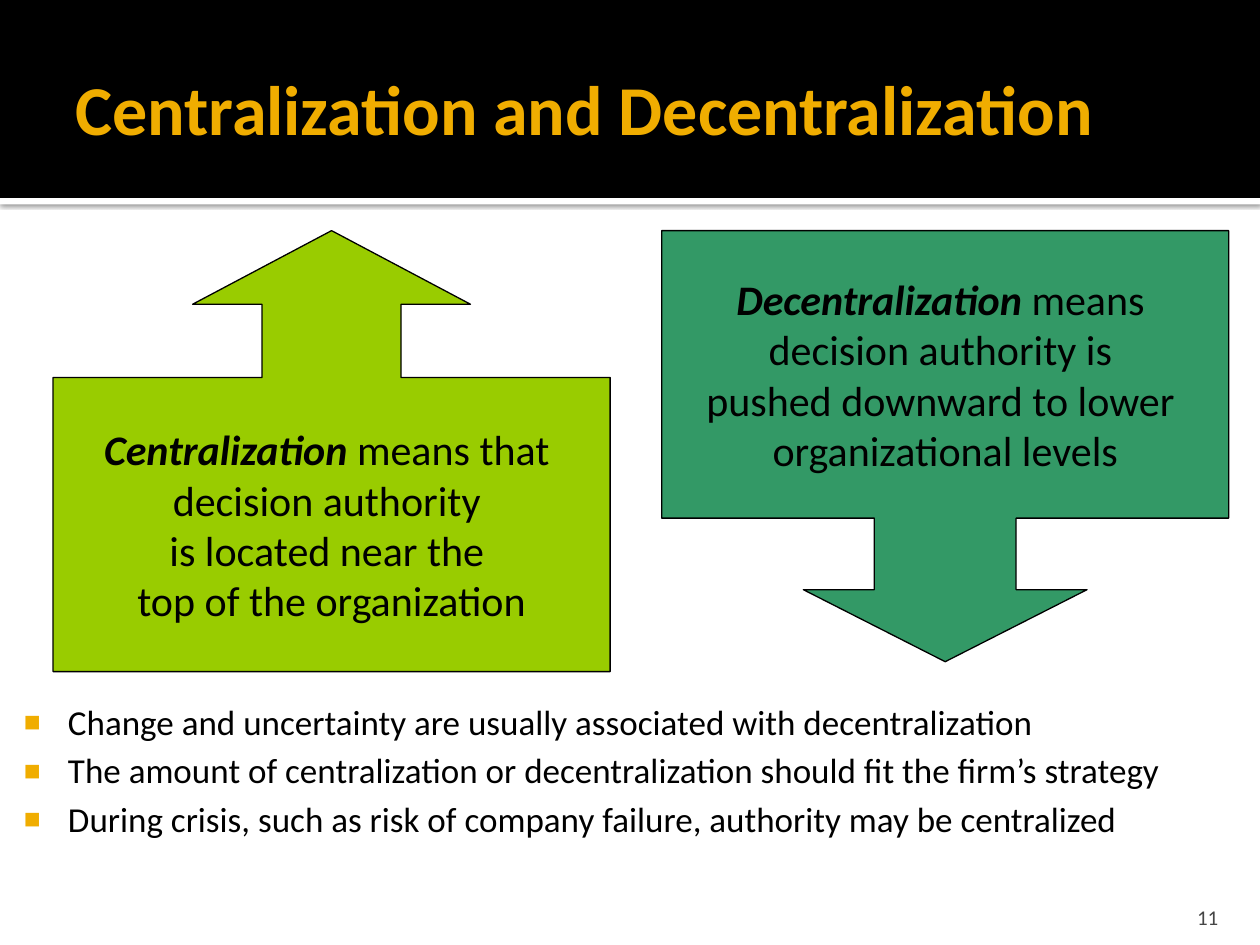
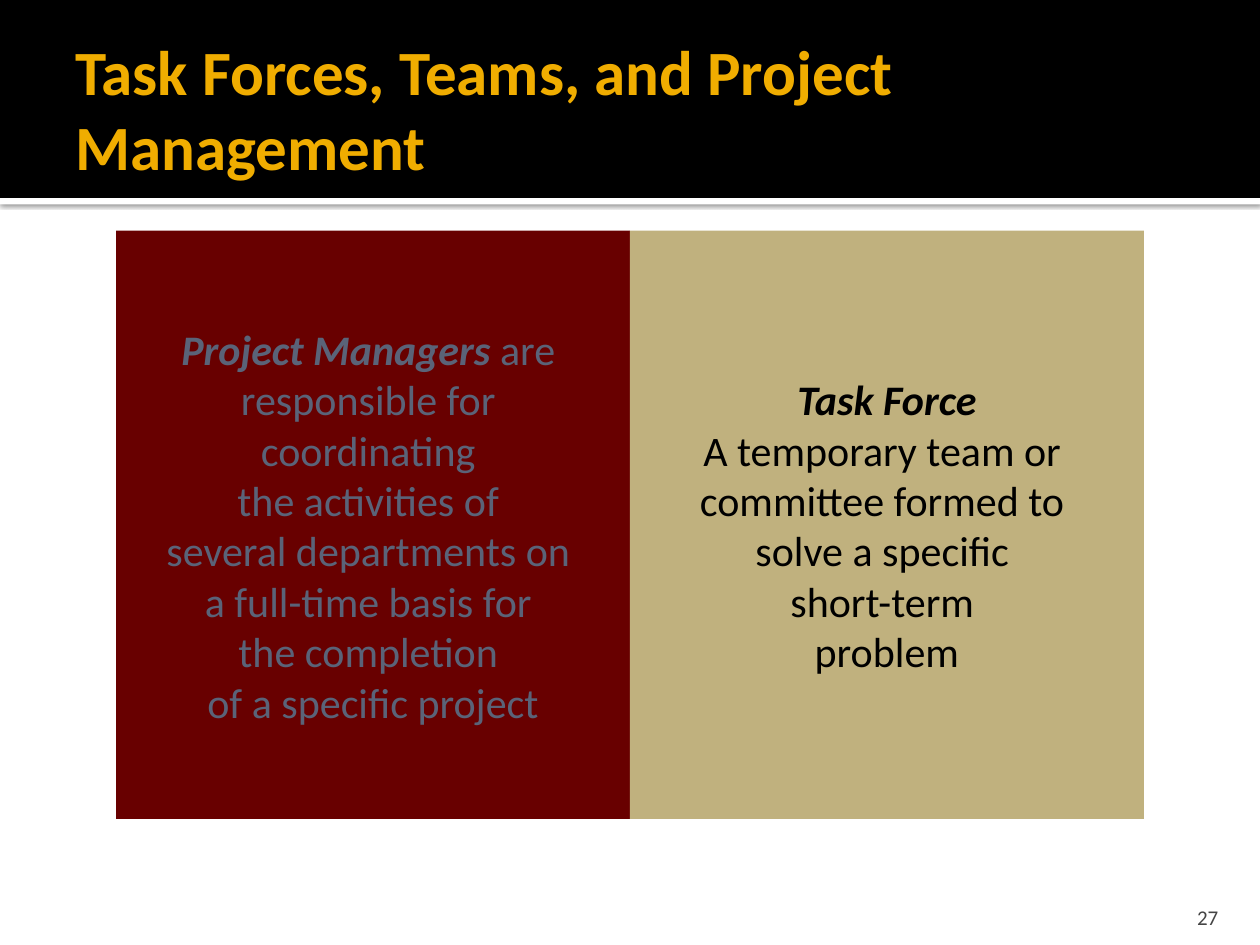
from lxml import etree
from pptx import Presentation
from pptx.dml.color import RGBColor
from pptx.enum.shapes import MSO_SHAPE
from pptx.enum.text import MSO_ANCHOR, MSO_AUTO_SIZE, PP_ALIGN
from pptx.oxml.ns import qn
from pptx.util import Cm, Pt

RECT = MSO_SHAPE.RECTANGLE
UP = MSO_SHAPE.UP_ARROW_CALLOUT
DOWN = MSO_SHAPE.DOWN_ARROW_CALLOUT
TOP, MID, LOW = MSO_ANCHOR.TOP, MSO_ANCHOR.MIDDLE, MSO_ANCHOR.BOTTOM
LEFT, MIDST, RIGHT = PP_ALIGN.LEFT, PP_ALIGN.CENTER, PP_ALIGN.RIGHT
NOFIT = MSO_AUTO_SIZE.NONE

FONT = "Calibri"
WIDE = 25.4
HUES = {
    "black": "000000", "white": "FFFFFF", "gold": "F0AD00",
    "gray": "454545", "slate": "5A6378", "lime": "99CC00",
    "green": "339966", "wine": "680000", "sand": "C0B17E",
}


def hue(name):
    return RGBColor.from_string(HUES[name])


def write(shape, lines, lead="", size=24, color="black", bold=False,
          align=MIDST, anchor=MID, pad=(0.25, 0.13, 0.25, 0.13), wrap=True):
    """Fill a shape with lines; lead opens the first one in bold italics."""
    frame = shape.text_frame
    frame.auto_size = NOFIT
    frame.word_wrap = wrap
    frame.vertical_anchor = anchor
    (frame.margin_left, frame.margin_top,
     frame.margin_right, frame.margin_bottom) = map(Cm, pad)
    for i, line in enumerate(lines):
        para = frame.add_paragraph() if i else frame.paragraphs[0]
        para.alignment = align
        parts = [(line, False)]
        if lead and i == 0:
            parts.insert(0, (lead, True))
        for text, strong in parts:
            if not text:
                continue
            run = para.add_run()
            run.text = text
            run.font.name = FONT
            run.font.size = Pt(size)
            run.font.bold = bold or strong
            run.font.italic = strong
            run.font.color.rgb = hue(color)


# Content: shapes are kind, box, adjustments, fill, edge, ink, lead, lines
deck = [
    dict(
        title="Centralization and Decentralization", size=40, number="11",
        points=[
            "Change and uncertainty are usually associated with decentralization",
            "The amount of centralization or decentralization should fit the firm’s strategy",
            "During crisis, such as risk of company failure, authority may be centralized",
        ],
        shapes=[
            (UP, (1.07, 4.65, 11.23, 8.89), (0.315, 0.315, 0.167, 0.667),
             "lime", True, "black", "Centralization",
             [" means that ", "decision authority ", "is located near the ",
              "top of the organization"]),
            (DOWN, (13.34, 4.65, 11.43, 8.69), (0.329, 0.329, 0.167, 0.667),
             "green", True, "black", "Decentralization ",
             ["means ", "decision authority is ", "pushed downward to lower ",
              "organizational levels"]),
        ],
    ),
    dict(
        title="Task Forces, Teams, and Project Management", size=36,
        number="27", points=[],
        shapes=[
            (RECT, (2.34, 4.65, 10.36, 11.86), (), "wine", False, "slate",
             "Project Managers",
             [" are ", "responsible for ", "coordinating ",
              "the activities of ", "several departments on ",
              "a full-time basis for ", "the completion ",
              "of a specific project"]),
            (RECT, (12.7, 4.65, 10.36, 11.86), (), "sand", False, "black",
             "Task Force",
             ["", "A temporary team or ", "committee formed to ",
              "solve a specific ", "short-term ", "problem"]),
        ],
    ),
]

prs = Presentation()
prs.slide_width, prs.slide_height = Cm(WIDE), Cm(19.05)

for page in deck:
    slide = prs.slides.add_slide(prs.slide_layouts[1 if page["points"] else 5])
    tree = slide.shapes

    # Header bands, sent behind the placeholders
    bands = [("white", 3.99, 0.13), ("black", 0, 3.99)]
    for i, (name, top, high) in enumerate(bands):
        band = tree.add_shape(RECT, 0, Cm(top), Cm(WIDE), Cm(high))
        band.fill.solid()
        band.fill.fore_color.rgb = hue(name)
        band.line.fill.background()
        band.shadow.inherit = False
        tree._spTree.insert(2 + i, band._element)
        if name == "white":
            glow = etree.SubElement(
                band._element.spPr.find(qn("a:effectLst")), qn("a:outerShdw"),
                blurRad=str(Pt(2.5)), dist=str(Pt(0.8)), dir="5400000",
                algn="t", rotWithShape="0")
            tint = etree.SubElement(glow, qn("a:srgbClr"), val=HUES["black"])
            etree.SubElement(tint, qn("a:alpha"), val="60000")

    # Title
    title = tree.title
    title.left, title.top, title.width, title.height = map(
        Cm, (1.27, 0.43, 22.86, 3.48))
    write(title, [page["title"]], size=page["size"], color="gold", bold=True,
          align=LEFT, pad=(0.25, 0.13, 0.13, 0.13))

    # Bullet list
    if page["points"]:
        body = slide.placeholders[1]
        body.left, body.top, body.width, body.height = map(
            Cm, (0, 13.97, WIDE, 5.08))
        write(body, page["points"], size=20, align=LEFT, anchor=TOP,
              pad=(0.15, 0.25, 0.25, 0.13))
        for para in body.text_frame.paragraphs:
            para.line_spacing = 0.9
            para.space_before, para.space_after = Pt(0), Pt(6)
            props = para._p.get_or_add_pPr()
            props.set("marL", str(Cm(1.22)))
            props.set("indent", str(Cm(-0.89)))
            tint = etree.SubElement(props, qn("a:buClr"))
            etree.SubElement(tint, qn("a:srgbClr"), val=HUES["gold"])
            etree.SubElement(props, qn("a:buSzPct"), val="80000")
            etree.SubElement(props, qn("a:buChar"), char="■")

    # Page number
    num = tree.add_textbox(Cm(22.78), Cm(17.98), Cm(2.03), Cm(0.76))
    write(num, [page["number"]], size=12, color="gray", align=RIGHT,
          anchor=LOW, pad=(0.25, 0.13, 0.25, 0))

    # Definition boxes
    for kind, area, bends, fill, edge, ink, lead, lines in page["shapes"]:
        box = tree.add_shape(kind, *map(Cm, area))
        for i, bend in enumerate(bends):
            box.adjustments[i] = bend
        box.fill.solid()
        box.fill.fore_color.rgb = hue(fill)
        if edge:
            box.line.color.rgb = hue("black")
            box.line.width = Pt(0.75)
        else:
            box.line.fill.background()
        box.shadow.inherit = False
        write(box, lines, lead=lead, color=ink, wrap=False)

prs.save("out.pptx")
